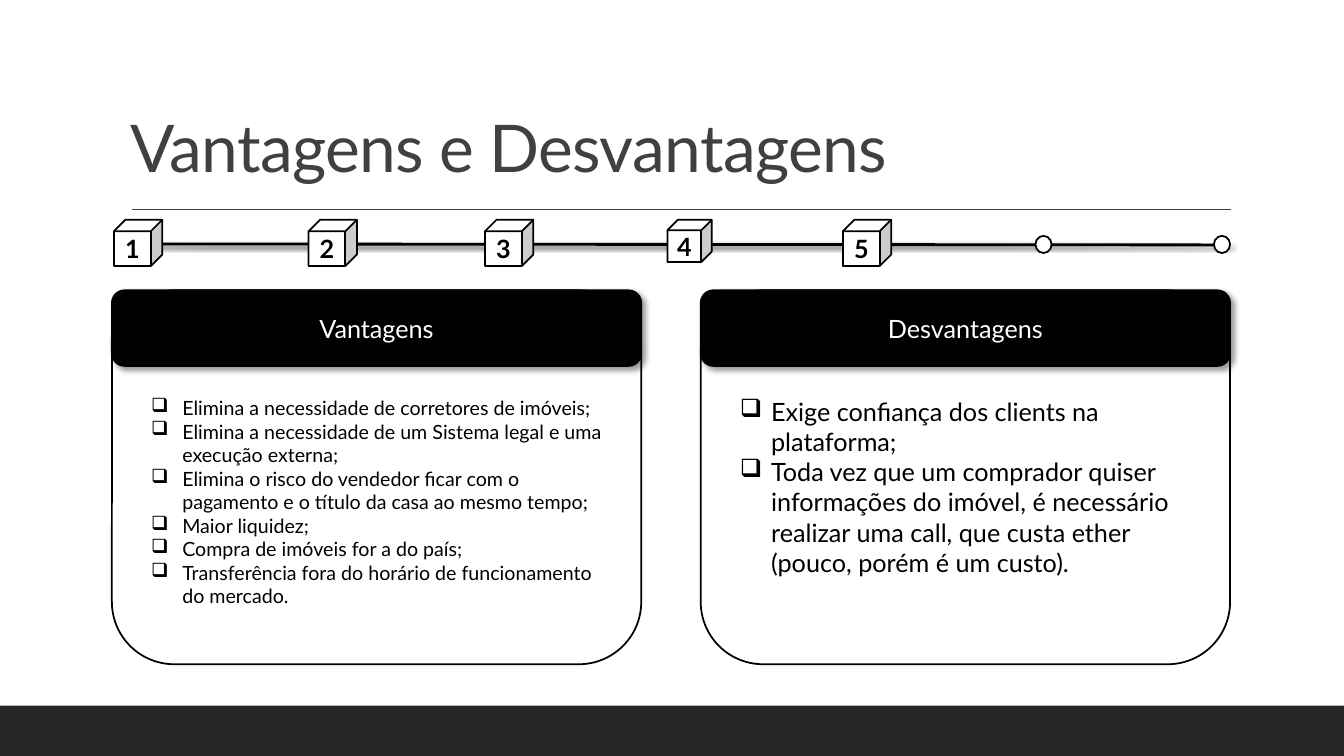
from lxml import etree
from pptx import Presentation
from pptx.dml.color import RGBColor
from pptx.enum import shapes, text
from pptx.oxml import ns
from pptx.util import Inches, Pt

HUE = {"ink": "000000", "paper": "FFFFFF", "grey": "404040", "foot": "262626"}
WIDE, HIGH = 13.33, 7.5
LEFT, CARD, STEP = 1.11, 5.25, 5.84
KIND = shapes.MSO_SHAPE
PROS = [
    "Elimina a necessidade de corretores de imóveis;",
    "Elimina a necessidade de um Sistema legal e uma execução externa;",
    "Elimina o risco do vendedor ficar com o pagamento e o título da casa ao mesmo tempo;",
    "Maior liquidez;",
    "Compra de imóveis for a do país;",
    "Transferência fora do horário de funcionamento do mercado.",
]
CONS = [
    "Exige confiança dos clients na plataforma;",
    "Toda vez que um comprador quiser informações do imóvel, é necessário realizar "
    "uma call, que custa ether (pouco, porém é um custo).",
]


def tint(name):
    """Return the named colour."""
    return RGBColor.from_string(HUE[name])


def node(base, tag, **attrs):
    """Append a drawing element with attributes."""
    item = etree.SubElement(base, ns.qn("a:" + tag))
    for key, val in attrs.items():
        item.set(key, str(val))
    return item


def shade(part, alpha=0, blur=0, dist=0):
    """Set the outer shadow of a part, or clear it."""
    props = part._element.spPr
    for old in props.findall(ns.qn("a:effectLst")):
        props.remove(old)
    fx = node(props, "effectLst")
    if alpha:
        cast = node(fx, "outerShdw", blurRad=Pt(blur), dist=Pt(dist),
                    dir=45 * 60000, algn="tl", rotWithShape=0)
        ink = node(cast, "srgbClr", val=HUE["ink"])
        node(ink, "alpha", val=alpha * 1000)


def write(part, words, size=18, hue="ink", bold=False, align="LEFT",
          anchor="TOP", pad=0.1, lead=None, track=None, bullet=None):
    """Write one paragraph for each item of words."""
    frame = part.text_frame
    frame.word_wrap = True
    frame.vertical_anchor = getattr(text.MSO_ANCHOR, anchor)
    frame.margin_left = frame.margin_right = Inches(pad)
    for i, line in enumerate(words):
        para = frame.add_paragraph() if i else frame.paragraphs[0]
        para.alignment = getattr(text.PP_ALIGN, align)
        if lead:
            para.line_spacing = lead
        run = para.add_run()
        run.text = line
        font = run.font
        font.name, font.size, font.bold = "Lato", Pt(size), bold
        font.color.rgb = tint(hue)
        if track:
            run._r.get_or_add_rPr().set("spc", str(track))
        if bullet:
            props = para._p.get_or_add_pPr()
            props.set("marL", str(Inches(0.31)))
            props.set("indent", str(-Inches(0.31)))
            node(props, "buChar", char=bullet)


def form(slide, kind, box, fill=None, line="ink"):
    """Draw a preset shape in a box."""
    part = slide.shapes.add_shape(kind, *map(Inches, box))
    part.shadow.inherit = False
    if fill:
        part.fill.solid()
        part.fill.fore_color.rgb = tint(fill)
    else:
        part.fill.background()
    if line:
        part.line.color.rgb = tint(line)
        part.line.width = Pt(1.25)
    else:
        part.line.fill.background()
    return part


def rule(slide, ends, hue, width):
    """Draw a straight line between two points."""
    link = slide.shapes.add_connector(shapes.MSO_CONNECTOR.STRAIGHT, *map(Inches, ends))
    link.line.color.rgb = tint(hue)
    link.line.width = Pt(width)
    shade(link)
    return link


def note(slide, box, words, **look):
    """Place a text box."""
    write(slide.shapes.add_textbox(*map(Inches, box)), words, **look)


def head(slide, x, y, w, h):
    """Place the title and the rule beneath it."""
    note(slide, (x, y, w, h), ["Vantagens e Desvantagens"], size=47, hue="grey",
         anchor="BOTTOM", lead=0.9, track=-50)
    rule(slide, (x + 0.11, y + h + 0.18, x + w + 0.01, y + h + 0.18), "grey", 1)


def track(slide, x, y, w):
    """Draw the timeline with its numbered cubes and open stops."""
    shade(rule(slide, (x + 0.18, y, x + w, y + 0.01), "ink", 2), 60, 3, 2)
    for left in (9.16, 10.93):
        form(slide, KIND.FLOWCHART_CONNECTOR, (x + left, y - 0.08, 0.16, 0.17), "paper")
    cubes = [(0.02, 0.48), (1.95, 0.48), (3.7, 0.48), (5.51, 0.44), (7.25, 0.48)]
    for i, (left, side) in enumerate(cubes, 1):
        cube = form(slide, KIND.CUBE, (x + left, y - 0.24, side, side - 0.02), "paper")
        write(cube, [str(i)], bold=True, align="CENTER", anchor="MIDDLE", pad=0)


def card(slide, x, y, w, h, label, words, size):
    """Draw a titled card with a list of points."""
    form(slide, KIND.ROUNDED_RECTANGLE, (x, y, w, h))
    bar = form(slide, KIND.ROUNDED_RECTANGLE, (x, y, w, 0.75), "ink")
    shade(bar, 40, 4, 3)
    write(bar, [label], hue="paper", align="CENTER", anchor="MIDDLE")
    note(slide, (x + 0.29, y + 1, w - 0.58, h - 1.02), words, size=size, bullet="❑")


def main():
    """Build and save the slide."""
    deck = Presentation()
    deck.slide_width, deck.slide_height = Inches(WIDE), Inches(HIGH)
    slide = deck.slides.add_slide(deck.slide_layouts[6])
    form(slide, KIND.RECTANGLE, (0, HIGH - 0.5, WIDE, 0.5), "foot", None)
    head(slide, 1.2, 0.31, 11, 1.59)
    lists = [("Vantagens", PROS, 14), ("Desvantagens", CONS, 18)]
    for i, (label, words, size) in enumerate(lists):
        card(slide, LEFT + i * STEP, 2.88, CARD, 3.71, label, words, size)
    track(slide, LEFT, 2.42, STEP + CARD)
    deck.save("out.pptx")


if __name__ == "__main__":
    main()
